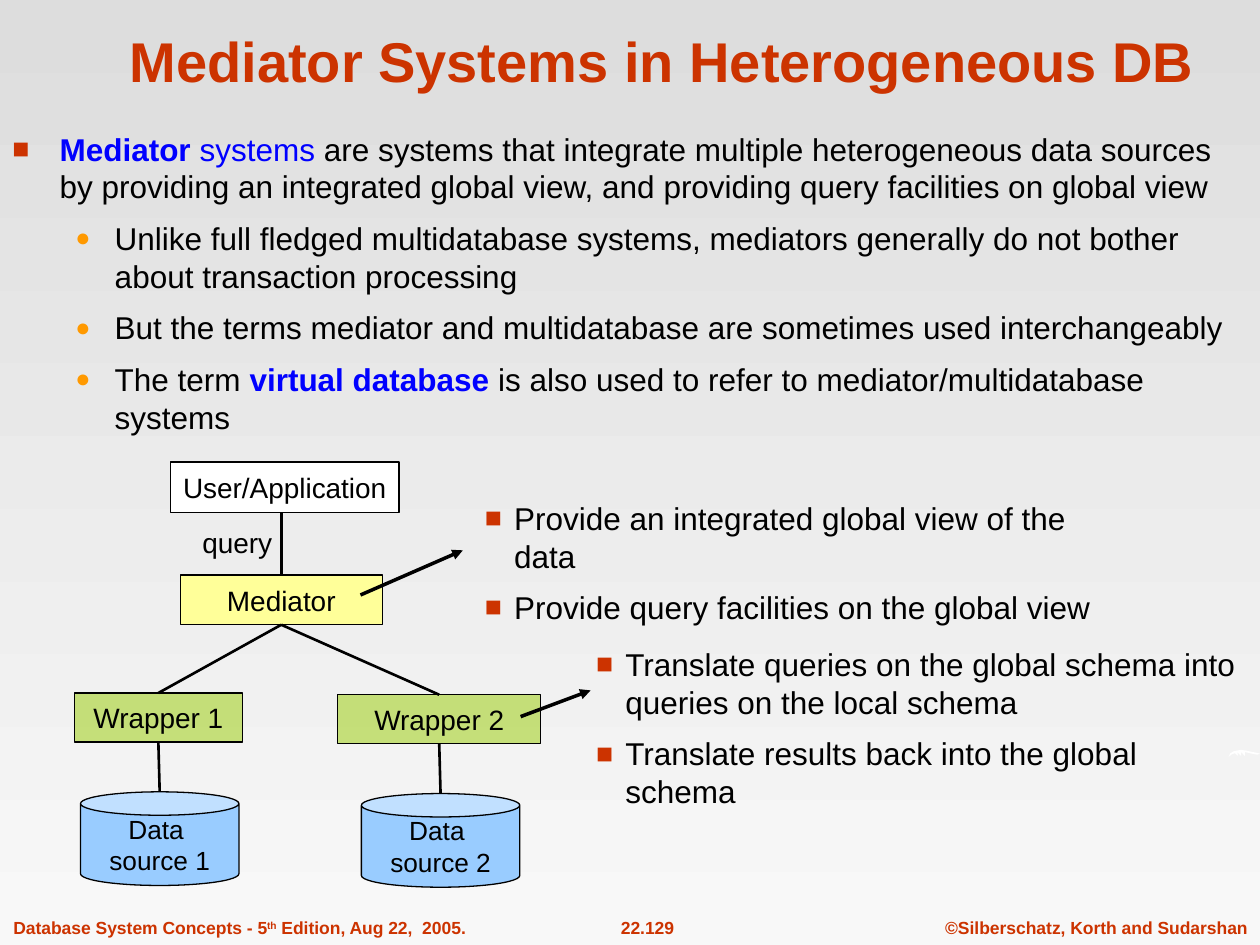
from dataclasses import dataclass

from lxml import etree
from pptx import Presentation
from pptx.dml.color import RGBColor
from pptx.enum.shapes import MSO_CONNECTOR, MSO_SHAPE
from pptx.enum.text import MSO_ANCHOR, PP_ALIGN
from pptx.oxml.ns import qn
from pptx.util import Pt

LEFT, CENTER = PP_ALIGN.LEFT, PP_ALIGN.CENTER
TOP, MIDDLE, BOTTOM = MSO_ANCHOR.TOP, MSO_ANCHOR.MIDDLE, MSO_ANCHOR.BOTTOM
RECT, CAN = MSO_SHAPE.RECTANGLE, MSO_SHAPE.CAN
STRAIGHT = MSO_CONNECTOR.STRAIGHT


@dataclass(frozen=True)
class Theme:
    font: str = "Arial"
    accent: str = "CC3300"
    orange: str = "FF9900"
    key: str = "0000FF"
    ink: str = "000000"
    white: str = "FFFFFF"
    yellow: str = "FFFF99"
    green: str = "99CC00"
    blue: str = "99CCFF"
    bg_top: str = "DDDDDD"
    bg_bottom: str = "F8F8F8"
    title: float = 32
    body: float = 18
    label: float = 16
    source: float = 15
    footer: float = 10


T = Theme()
SQUARE = ("■", T.accent, 90)
DOT = ("●", T.orange, 80)


def rgb(value):
    return RGBColor.from_string(value)


class Deck:
    def __init__(self, prs, theme):
        self.t = theme
        self.s = prs.slides.add_slide(prs.slide_layouts[6])

    def background(self):
        fill = self.s.background.fill
        fill.gradient()
        fill.gradient_angle = 270
        for stop, color in zip(fill.gradient_stops, (self.t.bg_top, self.t.bg_bottom)):
            stop.color.rgb = rgb(color)

    def run(self, p, text, size, color, bold=False, baseline=None):
        for i, line in enumerate(text.split("\n")):
            if i:
                p.add_line_break()
            r = p.add_run()
            r.text = line
            r.font.name, r.font.size, r.font.bold = self.t.font, Pt(size), bold
            r.font.color.rgb = rgb(color)
            if baseline:
                r.font._element.set("baseline", str(baseline))

    def text(self, box, runs, size, color, bold=False, align=LEFT, anchor=TOP, wrap=True):
        tf = self.s.shapes.add_textbox(*map(Pt, box)).text_frame
        tf.word_wrap, tf.vertical_anchor = wrap, anchor
        p = tf.paragraphs[0]
        p.alignment = align
        for text, *baseline in runs:
            self.run(p, text, size, color, bold, *baseline)

    def bullets(self, box, items):
        tf = self.s.shapes.add_textbox(*map(Pt, box)).text_frame
        tf.word_wrap = True
        for i, (mark, margin, hang, runs) in enumerate(items):
            p = tf.paragraphs[0] if i == 0 else tf.add_paragraph()
            if i:
                p.space_before = Pt(7.9)
            self.bullet(p, mark, margin, hang)
            for text, color, bold in runs:
                self.run(p, text, self.t.body, color, bold)

    def bullet(self, p, mark, margin, hang):
        char, color, percent = mark
        pPr = p._p.get_or_add_pPr()
        pPr.set("marL", str(Pt(margin)))
        pPr.set("indent", str(-Pt(hang)))
        clr = etree.SubElement(pPr, qn("a:buClr"))
        etree.SubElement(clr, qn("a:srgbClr"), val=color)
        etree.SubElement(pPr, qn("a:buSzPct"), val=str(percent * 1000))
        etree.SubElement(pPr, qn("a:buFont"), typeface=self.t.font)
        etree.SubElement(pPr, qn("a:buChar"), char=char)

    def node(self, kind, box, label, fill, size, alpha=None):
        sp = self.s.shapes.add_shape(kind, *map(Pt, box))
        sp.shadow.inherit = False
        sp.fill.solid()
        sp.fill.fore_color.rgb = rgb(fill)
        if alpha:
            clr = sp._element.spPr.find(qn("a:solidFill"))[0]
            etree.SubElement(clr, qn("a:alpha"), val=str(alpha * 1000))
        sp.line.color.rgb, sp.line.width = rgb(self.t.ink), Pt(0.75)
        tf = sp.text_frame
        tf.word_wrap, tf.vertical_anchor = False, MIDDLE
        p = tf.paragraphs[0]
        p.alignment = CENTER
        self.run(p, label, size, self.t.ink)
        return sp

    def line(self, start, end, width=1.5, begin=None, finish=None, arrow=False):
        c = self.s.shapes.add_connector(STRAIGHT, *map(Pt, start + end))
        if begin:
            c.begin_connect(*begin)
        if finish:
            c.end_connect(*finish)
        c.line.color.rgb, c.line.width = rgb(self.t.ink), Pt(width)
        if arrow:
            etree.SubElement(c.line._get_or_add_ln(), qn("a:tailEnd"), type="triangle")
        etree.SubElement(c._element.spPr, qn("a:effectLst"))

    def outline(self, points, fill):
        points = [(Pt(x), Pt(y)) for x, y in points]
        fb = self.s.shapes.build_freeform(*points[0])
        fb.add_line_segments(points[1:], close=True)
        sp = fb.convert_to_shape()
        sp.shadow.inherit = False
        sp.fill.solid()
        sp.fill.fore_color.rgb = rgb(fill)
        sp.line.fill.background()


def main():
    prs = Presentation()
    prs.slide_width, prs.slide_height = Pt(720), Pt(540)
    d = Deck(prs, T)
    d.background()

    footers = [
        (533, 187, CENTER, [("©Silberschatz, Korth and Sudarshan",)]),
        (332, 76, CENTER, [("22.129",)]),
        (0.5, 273, LEFT, [("Database System Concepts - 5",), ("th", 30000),
                          (" Edition, Aug 22,  2005.",)]),
    ]
    for x, w, align, runs in footers:
        d.text((x, 520.5, w, 19.5), runs, T.footer, T.accent, True, align, wrap=False)
    d.outline([(702, 432.7), (703, 430.5), (705, 429.3), (709, 428.5), (712, 428.9),
               (716, 429.8), (720, 430.6), (718.5, 431.3), (715, 430.6), (711.4, 429.8),
               (711.4, 432), (709.2, 429.8), (709.2, 432), (707, 429.8), (707.5, 432),
               (705.6, 430.4), (703.5, 431.3)], T.white)

    d.text((60.5, 9, 636, 48), [("Mediator Systems in Heterogeneous DB",)],
           T.title, T.accent, True, CENTER, BOTTOM)

    def plain(text):
        return text, T.ink, False

    d.bullets((0, 70.5, 720, 386), [
        (SQUARE, 27, 27, [
            ("Mediator", T.key, True), (" systems", T.key, False),
            plain(" are systems that integrate multiple heterogeneous data sources by "
                  "providing an integrated global view, and providing query facilities "
                  "on global view")]),
        (DOT, 58.5, 22.5, [plain("Unlike full fledged multidatabase systems, mediators "
                                 "generally do not bother about transaction processing")]),
        (DOT, 58.5, 22.5, [plain("But the terms mediator and multidatabase are sometimes "
                                 "used interchangeably")]),
        (DOT, 58.5, 22.5, [
            plain("The term "), ("virtual database", T.key, True),
            plain(" is also used to refer to mediator/multidatabase systems")]),
    ])

    d.node(RECT, (97.5, 264, 130.5, 29), "User/Application", T.white, T.label)
    mediator = d.node(RECT, (103, 328.5, 115.5, 28.5), "Mediator", T.yellow, T.label)
    d.line((160.75, 293), (160.75, 328.5), 2, finish=(mediator, 0))
    d.text((108.5, 296.5, 60, 26.5), [("query",)], T.label, T.ink, wrap=False)

    branches = [(42.5, 396, 96, 46), (193, 397, 116, 206.5)]
    for n, (x, y, w, can_x) in enumerate(branches, 1):
        wrapper = d.node(RECT, (x, y, w, 28), f"Wrapper {n}", T.green, T.label, 50)
        d.node(CAN, (can_x, y + 56.5, 90.5, 53.5), f"Data \nsource {n}", T.blue, T.source)
        mid = x + w / 2
        d.line((160.75, 357), (mid, y), begin=(mediator, 2), finish=(wrapper, 0))
        d.line((mid, y + 28), (can_x + 45.25, y + 56.5), begin=(wrapper, 2))

    d.line((206, 340), (264.5, 314.5), 2, arrow=True)
    d.line((297.5, 409.5), (337.5, 394.5), 2, arrow=True)

    roles = [
        ((270, 281.5, 380, 58.5), ["Provide an integrated global view of the data",
                                   "Provide query facilities on the global view"]),
        ((333.5, 365, 386, 80), ["Translate queries on the global schema into\n"
                                 "queries on the local schema",
                                 "Translate results back into the global schema"]),
    ]
    for box, items in roles:
        d.bullets(box, [(SQUARE, 16.75, 16.75, [plain(text)]) for text in items])

    prs.save("out.pptx")


if __name__ == "__main__":
    main()
